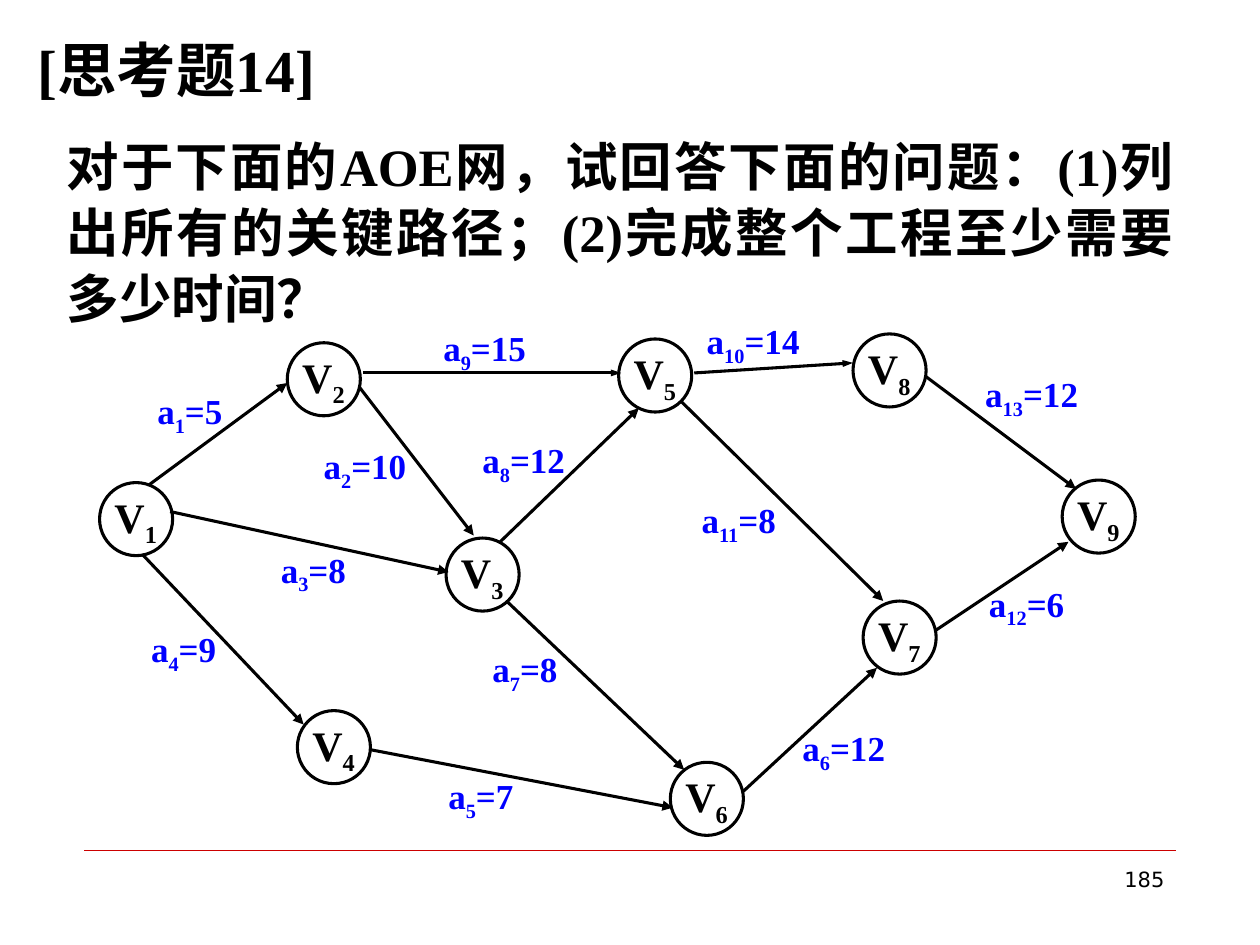
from dataclasses import dataclass

from lxml import etree
from pptx import Presentation
from pptx import util as u
from pptx.dml.color import RGBColor
from pptx.enum import lang, shapes, text
from pptx.oxml import ns


@dataclass(frozen=True)
class Theme:
    ink: RGBColor = RGBColor(0, 0, 0)
    activity: RGBColor = RGBColor(0, 0, 0xFF)
    rule: RGBColor = RGBColor(0xCC, 0, 0)
    serif: str = "Times New Roman"
    sans: str = "DejaVu Sans"
    title_size: float = 34
    question_size: float = 30
    node_size: float = 24
    activity_size: float = 20
    number_size: float = 12
    line_width: float = 1.75
    rule_width: float = 0.25
    node_diameter: float = 0.58


class NetworkSlide:
    """Holds the theme and the slide being drawn."""

    def __init__(self, slide, theme):
        self.slide = slide
        self.theme = theme

    def text_box(self, left, top, width, height, content, size, color=None,
                 font=None, bold=True, subscript=None, suffix=""):
        """Add a text box, optionally with a subscript and a suffix."""
        box = self.slide.shapes.add_textbox(
            u.Inches(left), u.Inches(top), u.Inches(width), u.Inches(height))
        box.text_frame.word_wrap = True
        paragraph = box.text_frame.paragraphs[0]
        paragraph.text = content
        if subscript:
            run = paragraph.add_run()
            run.text = subscript
            run._r.get_or_add_rPr().set("baseline", "-25000")
        if suffix:
            paragraph.add_run().text = suffix
        for run in paragraph.runs:
            run.font.name = font or self.theme.serif
            run.font.size = u.Pt(size)
            run.font.bold = bold
            run.font.color.rgb = color or self.theme.ink
            run.font.language_id = lang.MSO_LANGUAGE_ID.SIMPLIFIED_CHINESE
        return paragraph

    def line(self, start, end, color, width):
        connector = self.slide.shapes.add_connector(
            shapes.MSO_CONNECTOR.STRAIGHT,
            *(u.Inches(value) for value in (*start, *end)))
        connector.line.color.rgb = color
        connector.line.width = u.Pt(width)
        etree.SubElement(connector._element.spPr, ns.qn("a:effectLst"))
        return connector

    def arrow(self, start, end, head_width):
        connector = self.line(start, end, self.theme.ink, self.theme.line_width)
        etree.SubElement(connector.line._get_or_add_ln(), ns.qn("a:tailEnd"),
                         type="triangle", w=head_width, len="med")

    def node(self, number, left, top):
        diameter = u.Inches(self.theme.node_diameter)
        circle = self.slide.shapes.add_shape(
            shapes.MSO_SHAPE.OVAL, u.Inches(left), u.Inches(top),
            diameter, diameter)
        circle.shadow.inherit = False
        circle.fill.background()
        circle.line.color.rgb = self.theme.ink
        circle.line.width = u.Pt(self.theme.line_width)
        self.text_box(left + 0.02, top + 0.02, 0.71, 0.56, "V",
                      self.theme.node_size, subscript=str(number))

    def activity(self, number, duration, start, end, label, width,
                 head_width="med"):
        self.arrow(start, end, head_width)
        self.text_box(*label, width, 0.48, "a", self.theme.activity_size,
                      self.theme.activity, subscript=str(number),
                      suffix=f"={duration}")


# Circle positions of V1 to V9: left, top
NODES = [
    (0.79, 3.83), (2.28, 2.72), (3.54, 4.27),
    (2.36, 5.64), (4.91, 2.69), (5.32, 6.05),
    (6.85, 4.77), (6.77, 2.65), (8.43, 3.81),
]

# Activities a1 to a13: duration, arrow start, arrow end, label, label width
ACTIVITIES = [
    (5, (1.18, 3.85), (2.28, 3.04), (1.15, 3.04), 0.79),
    (10, (2.85, 3.07), (3.76, 4.25), (2.47, 3.48), 0.94),
    (8, (1.35, 4.06), (3.56, 4.54), (2.13, 4.30), 0.85),
    (9, (1.13, 4.40), (2.41, 5.75), (1.10, 4.93), 0.79),
    (7, (2.94, 5.95), (5.34, 6.41), (3.46, 6.10), 1.16),
    (12, (5.90, 6.28), (6.96, 5.30), (6.27, 5.72), 0.94),
    (8, (4.02, 4.77), (5.43, 6.11), (3.81, 5.09), 0.80),
    (12, (3.97, 4.30), (5.07, 3.24), (3.73, 3.43), 0.96),
    (15, (2.88, 2.96), (4.93, 2.96), (3.42, 2.54), 0.87, "sm"),
    (14, (5.51, 2.96), (6.77, 2.88), (5.51, 2.49), 1.12, "sm"),
    (8, (5.40, 3.18), (7.01, 4.77), (5.47, 3.91), 1.16),
    (6, (7.43, 5.00), (8.48, 4.30), (7.75, 4.57), 1.16),
    (12, (7.35, 2.99), (8.54, 3.88), (7.72, 2.91), 1.02),
]


def main():
    presentation = Presentation()
    presentation.slide_width = u.Inches(10)
    presentation.slide_height = u.Inches(7.5)
    theme = Theme()
    page = NetworkSlide(
        presentation.slides.add_slide(presentation.slide_layouts[6]), theme)

    # Footer rule and slide number
    page.line((0.67, 6.75), (9.33, 6.75), theme.rule, theme.rule_width)
    number = page.text_box(7.17, 6.83, 2.17, 0.52, "185", theme.number_size,
                           font=theme.sans, bold=False)
    number.alignment = text.PP_ALIGN.RIGHT

    # Title and question
    page.text_box(0.2, 0.21, 9.61, 0.75, "[思考题14]", theme.title_size)
    question = page.text_box(
        0.43, 0.99, 8.98, 1.7,
        "对于下面的AOE网，试回答下面的问题：(1)列出所有的关键路径；"
        "(2)完成整个工程至少需要多少时间？", theme.question_size)
    question.alignment = text.PP_ALIGN.JUSTIFY
    question.line_spacing = 1.05

    # Activity network
    for index, activity in enumerate(ACTIVITIES, start=1):
        page.activity(index, *activity)
    for index, position in enumerate(NODES, start=1):
        page.node(index, *position)

    presentation.save("out.pptx")


if __name__ == "__main__":
    main()
